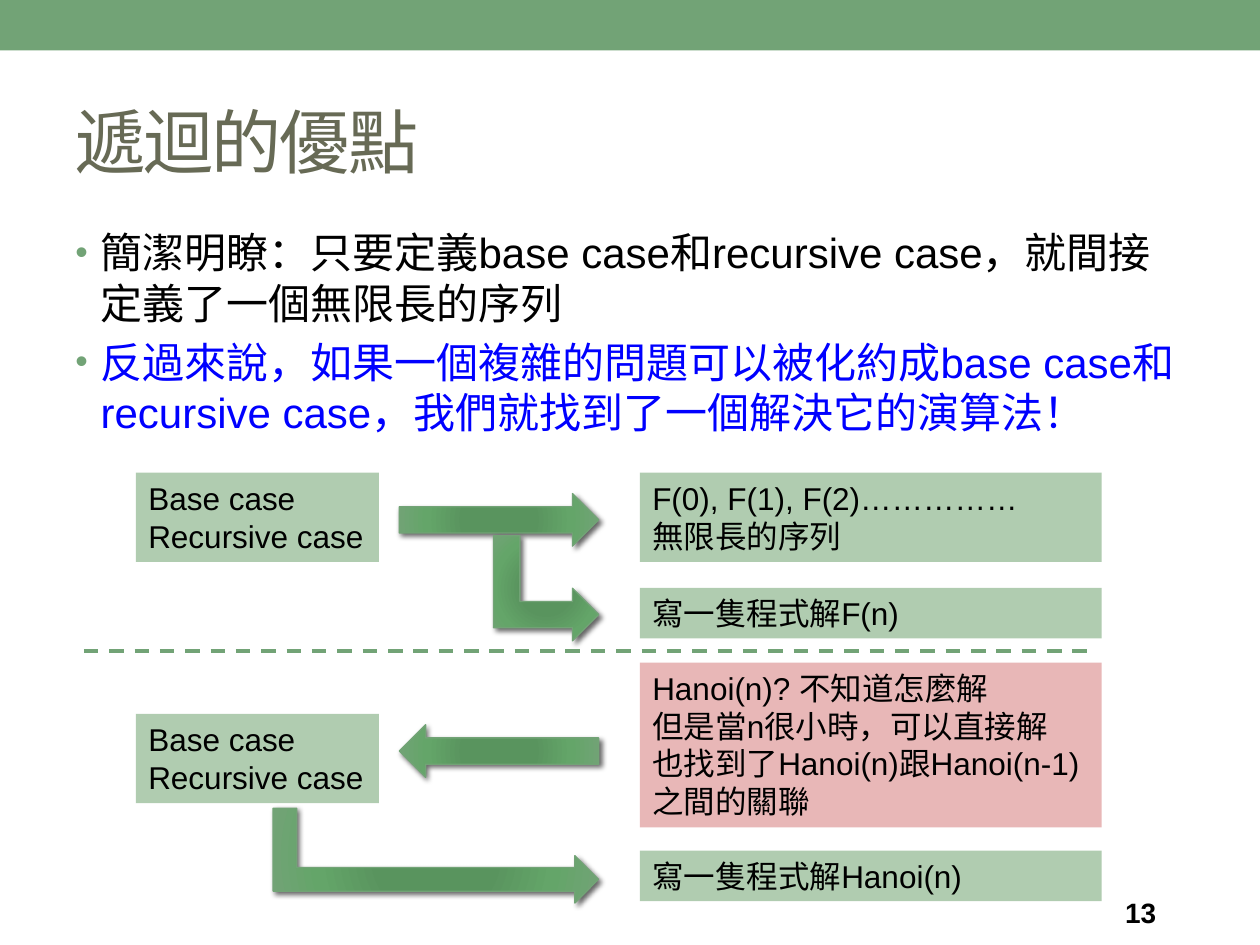
import pptx
import pptx.dml.color
import pptx.enum.dml
import pptx.enum.shapes
import pptx.enum.text
import pptx.oxml
import pptx.oxml.ns
import pptx.util
from pptx.util import Cm

COLORS = {
    "green": "72A376", "pale_green": "B0CCB0", "pink": "E8B7B7",
    "title": "676A55", "black": "000000", "blue": "0000FF",
}
ARROW_STOPS = [(0, "57965C"), (34, "59945E"), (70, "64A569"), (100, "72A376")]
SHAPES = pptx.enum.shapes.MSO_SHAPE
ANCHOR = pptx.enum.text.MSO_ANCHOR

CASES = ["Base case", "Recursive case"]
LEFT_X, ARROW_X, RIGHT_X = 2.74, 8.05, 12.9
LEFT_W, ARROW_W, RIGHT_W = 4.9, 4.02, 9.31


def rgb(name):
    return pptx.dml.color.RGBColor.from_string(COLORS[name])


def xml(tag, attrs="", inner=""):
    ns = pptx.oxml.ns.nsdecls("a")
    return pptx.oxml.parse_xml(f"<a:{tag} {ns} {attrs}>{inner}</a:{tag}>")


def add_run(p, text, size, color="black", bold=False):
    r = p.add_run()
    r.text = text
    r.font.name = "Arial"
    r.font.size = pptx.util.Pt(size)
    r.font.bold = bold
    r.font.color.rgb = rgb(color)
    return r


def add_text(s, x, y, w, h, text, size, color="black", bold=False):
    """Add a single line, centred vertically in its box."""
    tf = s.shapes.add_textbox(Cm(x), Cm(y), Cm(w), Cm(h)).text_frame
    tf.word_wrap = True
    tf.vertical_anchor = ANCHOR.MIDDLE
    return add_run(tf.paragraphs[0], text, size, color, bold)


def add_bullets(s, x, y, w, h, items):
    tf = s.shapes.add_textbox(Cm(x), Cm(y), Cm(w), Cm(h)).text_frame
    tf.word_wrap = True
    for i, (text, color) in enumerate(items):
        p = tf.add_paragraph() if i else tf.paragraphs[0]
        if i:
            p.space_before = pptx.util.Pt(5)
        pPr = p._p.get_or_add_pPr()
        pPr.set("marL", str(Cm(0.51)))
        pPr.set("indent", str(-Cm(0.51)))
        pPr.append(xml("buClr", inner=f'<a:srgbClr val="{COLORS["green"]}"/>'))
        pPr.append(xml("buSzPct", 'val="85000"'))
        pPr.append(xml("buFont", 'typeface="Arial"'))
        pPr.append(xml("buChar", 'char="•"'))
        add_run(p, text, 24, color)


def add_box(s, x, y, w, h, lines=(), color="pale_green", wrap=True):
    sp = s.shapes.add_shape(SHAPES.RECTANGLE, Cm(x), Cm(y), Cm(w), Cm(h))
    sp.shadow.inherit = False
    sp.fill.solid()
    sp.fill.fore_color.rgb = rgb(color)
    sp.line.fill.background()
    tf = sp.text_frame
    tf.word_wrap = wrap
    tf.vertical_anchor = ANCHOR.TOP
    for i, line in enumerate(lines):
        p = tf.add_paragraph() if i else tf.paragraphs[0]
        p.alignment = pptx.enum.text.PP_ALIGN.LEFT
        add_run(p, line, 18)


def add_arrow(s, kind, x, y, w, h, rotation=0):
    """Add a block arrow with a radial gradient and a soft shadow."""
    sp = s.shapes.add_shape(kind, Cm(x), Cm(y), Cm(w), Cm(h))
    sp.rotation = rotation
    sp.line.color.rgb = rgb("green")
    sp.line.width = pptx.util.Pt(0.75)
    sp.shadow.inherit = False
    spPr = sp._element.spPr
    stops = "".join(f'<a:gs pos="{pos * 1000}"><a:srgbClr val="{c}"/></a:gs>'
                    for pos, c in ARROW_STOPS)
    corner = " ".join(f'{side}="100000"' for side in "ltrb")
    spPr.find(pptx.oxml.ns.qn("a:prstGeom")).addnext(xml(
        "gradFill", 'rotWithShape="1"',
        f'<a:gsLst>{stops}</a:gsLst>'
        f'<a:path path="circle"><a:fillToRect {corner}/></a:path>'))
    spPr.find(pptx.oxml.ns.qn("a:effectLst")).append(xml(
        "outerShdw",
        'blurRad="38100" dist="25400" dir="2700000" rotWithShape="0"',
        '<a:srgbClr val="000000"><a:alpha val="60000"/></a:srgbClr>'))


def add_dashed_line(s, x1, x2, y):
    line = s.shapes.add_connector(pptx.enum.shapes.MSO_CONNECTOR.STRAIGHT,
                                  Cm(x1), Cm(y), Cm(x2), Cm(y))
    line.line.color.rgb = rgb("green")
    line.line.width = pptx.util.Pt(2.08)
    line.line.dash_style = pptx.enum.dml.MSO_LINE.DASH
    line._element.spPr.append(xml("effectLst"))


def main():
    prs = pptx.Presentation()
    prs.slide_width, prs.slide_height = Cm(25.4), Cm(19.05)
    s = prs.slides.add_slide(prs.slide_layouts[6])

    add_box(s, 0, 0, 25.4, 1.02, color="green")
    title = add_text(s, 1.27, 1.47, 22.86, 2.74, "遞迴的優點", 40, "title")
    title._r.get_or_add_rPr().set("spc", "-100")
    add_bullets(s, 1.27, 4.45, 22.86, 7.41, [
        ("簡潔明瞭：只要定義base case和recursive case，"
         "就間接定義了一個無限長的序列", "black"),
        ("反過來說，如果一個複雜的問題可以被化約成base case和recursive case，"
         "我們就找到了一個解決它的演算法！", "blue"),
    ])
    add_text(s, 22.43, 17.93, 2.97, 0.91, "13", 16, bold=True)

    # From the cases to the sequence
    add_box(s, LEFT_X, 9.53, LEFT_W, 1.8, CASES, wrap=False)
    add_box(s, RIGHT_X, 9.53, RIGHT_W, 1.8,
            ["F(0), F(1), F(2)……………", "無限長的序列"])
    add_arrow(s, SHAPES.RIGHT_ARROW, ARROW_X, 9.95, ARROW_W, 1.06)
    add_box(s, RIGHT_X, 11.85, RIGHT_W, 1.02, ["寫一隻程式解F(n)"])
    add_arrow(s, SHAPES.BENT_UP_ARROW, 9.95, 10.8, 2.12, 2.12, 90)

    # From the problem back to the cases
    add_box(s, RIGHT_X, 13.36, RIGHT_W, 3.32,
            ["Hanoi(n)? 不知道怎麼解", "但是當n很小時，可以直接解",
             "也找到了Hanoi(n)跟Hanoi(n-1)之間的關聯"], "pink")
    add_dashed_line(s, 1.69, 22.01, 13.12)
    add_box(s, RIGHT_X, 17.15, RIGHT_W, 1.02, ["寫一隻程式解Hanoi(n)"])
    add_arrow(s, SHAPES.BENT_UP_ARROW, 7.83, 13.97, 1.91, 6.56, 90)
    add_arrow(s, SHAPES.RIGHT_ARROW, ARROW_X, 14.61, ARROW_W, 1.06, 180)
    add_box(s, LEFT_X, 14.39, LEFT_W, 1.8, CASES, wrap=False)

    prs.save("out.pptx")


if __name__ == "__main__":
    main()
